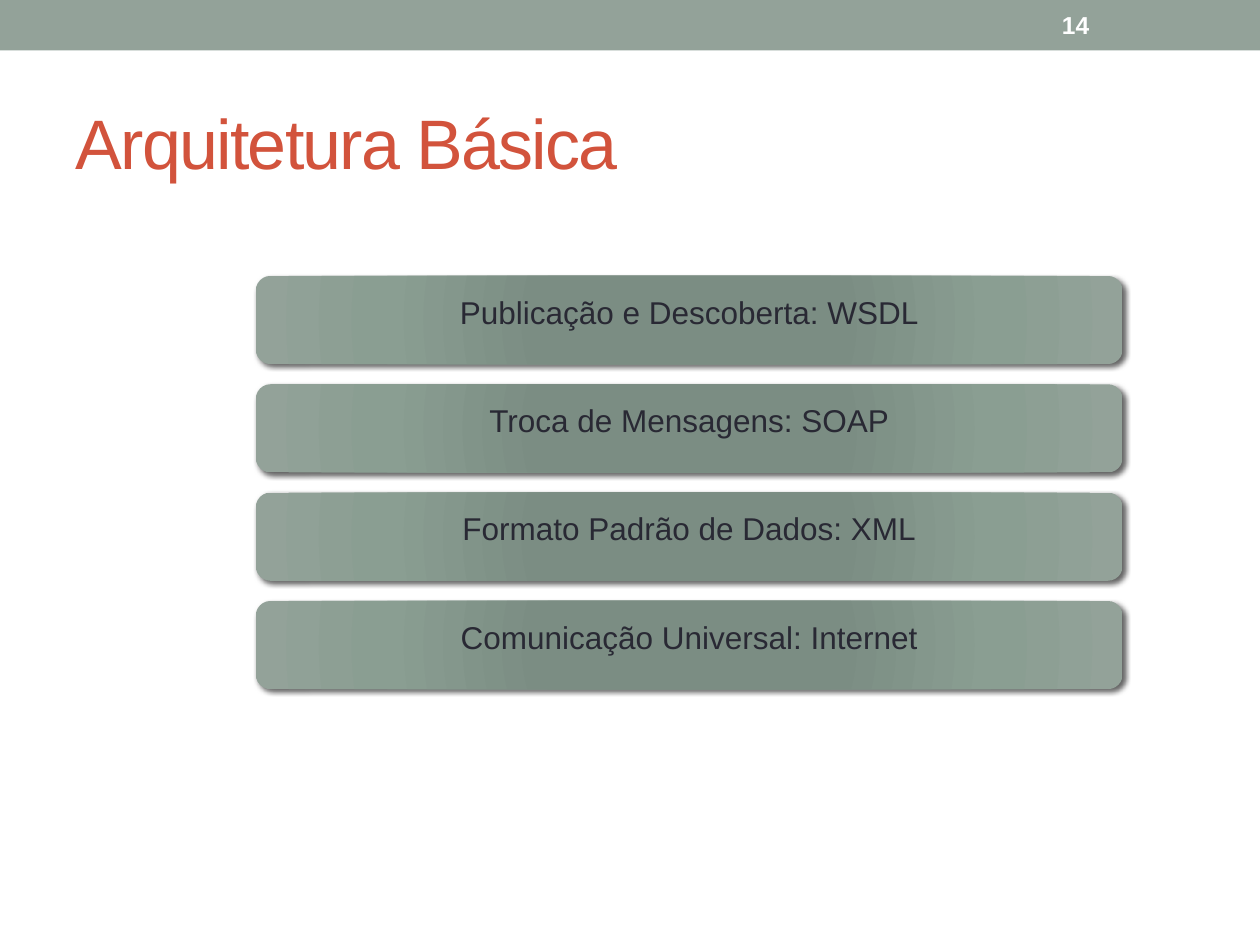
from pptx import Presentation
from pptx.dml.color import RGBColor
from pptx.enum import shapes, text
from pptx.oxml import parse_xml
from pptx.oxml.ns import nsdecls, qn
from pptx.util import Inches, Pt

SAGE = RGBColor(0x93, 0xA2, 0x99)
RED = RGBColor(0xD2, 0x53, 0x3C)
INK = RGBColor(0x29, 0x29, 0x34)
WHITE = RGBColor(0xFF, 0xFF, 0xFF)
LAYER_STOPS = [
    (0, RGBColor(0x7B, 0x8E, 0x82)),
    (34, RGBColor(0x7B, 0x8D, 0x83)),
    (70, RGBColor(0x8A, 0x9E, 0x92)),
    (100, SAGE),
]
LAYERS = [
    "Publicação e Descoberta: WSDL",
    "Troca de Mensagens: SOAP",
    "Formato Padrão de Dados: XML",
    "Comunicação Universal: Internet",
]


def add_span(para, words, size, color, bold=False):
    span = para.add_run()
    span.text = words
    span.font.name = "Arial"
    span.font.size = Pt(size)
    span.font.bold = bold
    span.font.color.rgb = color
    return span


def style_layer(box):
    """Give the box a radial gradient and a soft shadow to the lower right."""
    stops = "".join(
        f'<a:gs pos="{place * 1000}"><a:srgbClr val="{color}"/></a:gs>'
        for place, color in LAYER_STOPS
    )
    box.line.fill.background()
    box.shadow.inherit = False
    properties = box._element.spPr
    properties.find(qn("a:prstGeom")).addnext(parse_xml(
        f'<a:gradFill {nsdecls("a")} rotWithShape="1"><a:gsLst>{stops}</a:gsLst>'
        '<a:path path="circle">'
        '<a:fillToRect l="100000" t="100000" r="100000" b="100000"/>'
        '</a:path></a:gradFill>'))
    properties.find(qn("a:effectLst")).append(parse_xml(
        f'<a:outerShdw {nsdecls("a")} blurRad="{Pt(3)}" dist="{Pt(2)}" '
        'dir="2700000" algn="tl" rotWithShape="0">'
        '<a:srgbClr val="000000"><a:alpha val="60000"/></a:srgbClr>'
        '</a:outerShdw>'))


deck = Presentation()
deck.slide_width = Inches(10)
deck.slide_height = Inches(7.5)
page = deck.slides.add_slide(deck.slide_layouts[5])

# Header band
band = page.shapes.add_shape(
    shapes.MSO_SHAPE.RECTANGLE, 0, 0, Inches(10), Inches(0.4))
band.shadow.inherit = False
band.fill.solid()
band.fill.fore_color.rgb = SAGE
band.line.fill.background()

# Title
title = page.shapes.title
title.left, title.top = Inches(0.5), Inches(0.58)
title.width, title.height = Inches(9), Inches(1.08)
title.text_frame.vertical_anchor = text.MSO_ANCHOR.MIDDLE
para = title.text_frame.paragraphs[0]
para.alignment = text.PP_ALIGN.LEFT
span = add_span(para, "Arquitetura Básica", 40, RED)
span.font._element.set("spc", "-100")

# Stack of architecture layers
for index, label in enumerate(LAYERS):
    layer = page.shapes.add_shape(
        shapes.MSO_SHAPE.ROUNDED_RECTANGLE,
        Inches(2.03), Inches(2.19 + 0.86 * index), Inches(6.88), Inches(0.7))
    style_layer(layer)
    frame = layer.text_frame
    frame.vertical_anchor = text.MSO_ANCHOR.TOP
    frame.margin_top = Inches(0.1)
    para = frame.paragraphs[0]
    para.alignment = text.PP_ALIGN.CENTER
    add_span(para, label, 18, INK)

# Page number
number = page.shapes.add_textbox(
    Inches(8.33), Inches(0.02), Inches(1.17), Inches(0.36))
number.text_frame.word_wrap = True
number.text_frame.vertical_anchor = text.MSO_ANCHOR.MIDDLE
add_span(number.text_frame.paragraphs[0], "14", 14, WHITE, bold=True)

deck.save("out.pptx")
